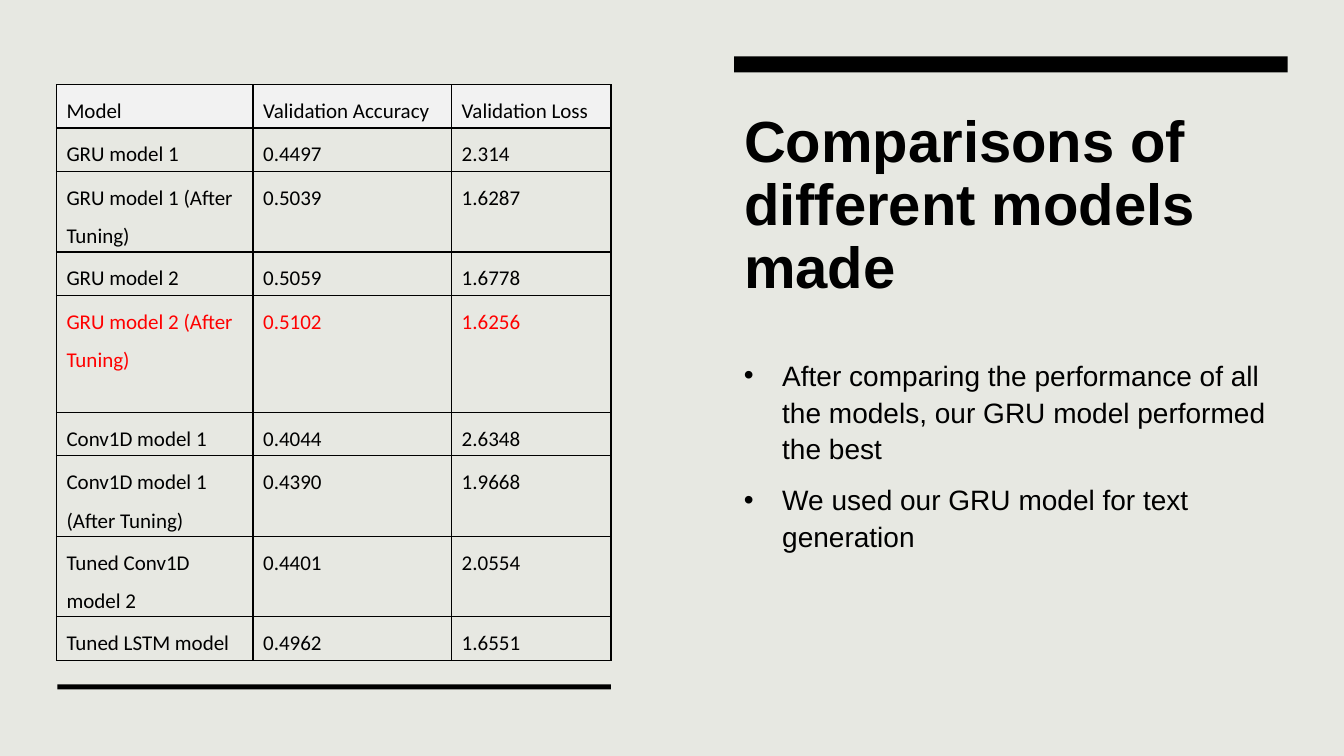
"""Build the slide that compares the validation results of the models."""
from typing import NamedTuple

from lxml.etree import SubElement
from pptx import Presentation
from pptx.dml.color import RGBColor
from pptx.enum.shapes import MSO_SHAPE as Preset
from pptx.enum.text import MSO_ANCHOR as Anchor, MSO_AUTO_SIZE as AutoSize, PP_ALIGN as Align
from pptx.oxml.ns import qn
from pptx.slide import Slide
from pptx.table import _Cell as Cell
from pptx.text.text import TextFrame, _Paragraph as Paragraph
from pptx.util import Emu, Pt

EMU_PER_PX = 9144

BACKGROUND = RGBColor(0xE7, 0xE8, 0xE2)
HEADER_FILL = RGBColor(0xF2, 0xF2, 0xF2)
BLACK = RGBColor(0x00, 0x00, 0x00)
BEST_RED = RGBColor(0xFF, 0x00, 0x00)


class Box(NamedTuple):
    left: int
    top: int
    width: int
    height: int

    def emu(self) -> list[Emu]:
        return [px(length) for length in self]


class ResultRow(NamedTuple):
    height: int
    values: tuple[str, str, str]
    color: RGBColor = BLACK
    fill: RGBColor | None = None


TITLE = "Comparisons of different models made"
TITLE_BOX = Box(728, 107, 549, 212)
BODY_BOX = Box(728, 347, 541, 330)
TABLE_BOX = Box(56, 84, 550, 571)
BARS = [Box(728, 56, 549, 16), Box(57, 679, 549, 5)]
BULLET_INDENT = 38
BULLETS = [
    "After comparing the performance of all the models, our GRU model performed the best",
    "We used our GRU model for text generation",
]
COLUMN_WIDTHS = [195, 197, 158]
ROWS = [
    ResultRow(43, ("Model", "Validation Accuracy", "Validation Loss"), fill=HEADER_FILL),
    ResultRow(43, ("GRU model 1", "0.4497", "2.314")),
    ResultRow(80, ("GRU model 1 (After Tuning)", "0.5039", "1.6287")),
    ResultRow(43, ("GRU model 2", "0.5059", "1.6778")),
    ResultRow(116, ("GRU model 2 (After Tuning)", "0.5102", "1.6256"), color=BEST_RED),
    ResultRow(43, ("Conv1D model 1", "0.4044", "2.6348")),
    ResultRow(80, ("Conv1D model 1 (After Tuning)", "0.4390", "1.9668")),
    ResultRow(80, ("Tuned Conv1D model 2", "0.4401", "2.0554")),
    ResultRow(43, ("Tuned LSTM model", "0.4962", "1.6551")),
]


def px(length: int) -> Emu:
    return Emu(length * EMU_PER_PX)


def add_text(paragraph: Paragraph, text: str, size: float, font_name: str,
             line_spacing: float, color: RGBColor = BLACK, bold: bool = False) -> None:
    paragraph.alignment = Align.LEFT
    paragraph.line_spacing = line_spacing
    run = paragraph.add_run()
    run.text = text
    run.font.size = Pt(size)
    run.font.name = font_name
    run.font.bold = bold
    run.font.color.rgb = color


def prepare_frame(frame: TextFrame) -> None:
    frame.word_wrap = True
    frame.auto_size = AutoSize.NONE
    frame.vertical_anchor = Anchor.TOP


def add_title(slide: Slide) -> None:
    title = slide.shapes.title
    title.left, title.top, title.width, title.height = TITLE_BOX.emu()
    prepare_frame(title.text_frame)
    add_text(title.text_frame.paragraphs[0], TITLE, 41.4, "Arial", 0.9, bold=True)


def add_bar(slide: Slide, box: Box) -> None:
    shape = slide.shapes.add_shape(Preset.RECTANGLE, *box.emu())
    shape.shadow.inherit = False
    shape.fill.solid()
    shape.fill.fore_color.rgb = BLACK
    shape.line.fill.background()


def add_bullets(slide: Slide) -> None:
    frame = slide.shapes.add_textbox(*BODY_BOX.emu()).text_frame
    prepare_frame(frame)
    for index, text in enumerate(BULLETS):
        paragraph = frame.add_paragraph() if index else frame.paragraphs[0]
        properties = paragraph._p.get_or_add_pPr()
        properties.set("marL", str(px(BULLET_INDENT)))
        properties.set("indent", str(px(-BULLET_INDENT)))
        SubElement(properties, qn("a:buFont"), typeface="Arial")
        SubElement(properties, qn("a:buChar"), char="•")
        if index:
            paragraph.space_before = Pt(10)
        add_text(paragraph, text, 20, "Arial", 1.1)


def add_borders(cell: Cell) -> None:
    properties = cell._tc.get_or_add_tcPr()
    for side in ("lnL", "lnR", "lnT", "lnB"):
        line = SubElement(properties, qn(f"a:{side}"), w=str(Pt(1)))
        fill = SubElement(line, qn("a:solidFill"))
        SubElement(fill, qn("a:srgbClr"), val=str(BLACK))


def fill_cell(cell: Cell, text: str, row: ResultRow) -> None:
    cell.margin_left = cell.margin_right = px(10)
    cell.margin_top, cell.margin_bottom = px(1), px(0)
    add_borders(cell)
    if row.fill is None:
        cell.fill.background()
    else:
        cell.fill.solid()
        cell.fill.fore_color.rgb = row.fill
    add_text(cell.text_frame.paragraphs[0], text, 15, "Calibri", 1.5, row.color)


def add_results_table(slide: Slide) -> None:
    frame = slide.shapes.add_table(len(ROWS), len(COLUMN_WIDTHS), *TABLE_BOX.emu())
    table = frame.table
    table.first_row = table.horz_banding = False
    for column, width in zip(table.columns, COLUMN_WIDTHS):
        column.width = px(width)
    for table_row, row in zip(table.rows, ROWS):
        table_row.height = px(row.height)
        for cell, text in zip(table_row.cells, row.values):
            fill_cell(cell, text, row)


def main() -> None:
    presentation = Presentation()
    presentation.slide_width, presentation.slide_height = px(1333), px(750)
    slide = presentation.slides.add_slide(presentation.slide_layouts.get_by_name("Title Only"))
    slide.background.fill.solid()
    slide.background.fill.fore_color.rgb = BACKGROUND
    add_title(slide)
    for box in BARS:
        add_bar(slide, box)
    add_bullets(slide)
    add_results_table(slide)
    presentation.save("out.pptx")


if __name__ == "__main__":
    main()
